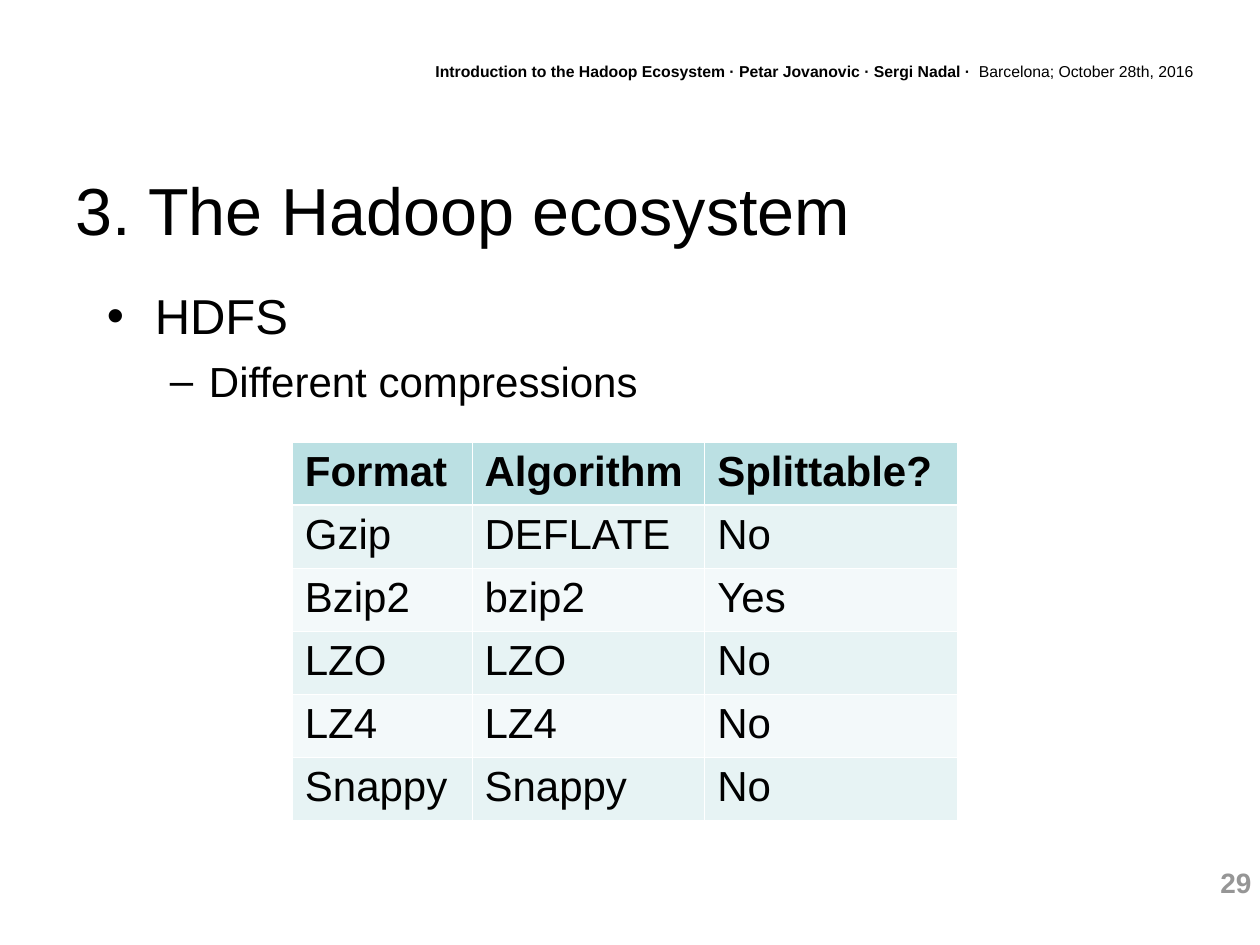
from lxml import etree
from pptx import Presentation
from pptx import util as u
from pptx.dml.color import RGBColor
from pptx.enum import text
from pptx.oxml import ns

# Content
HEADER = [
    ("Introduction to the Hadoop Ecosystem · Petar Jovanovic · Sergi Nadal ·  ", True),
    ("Barcelona; October 28th, 2016", False),
]
TITLE = "3. The Hadoop ecosystem"
# Text, bullet, level, size, space before, left margin, hanging indent
BULLETS = [
    ("HDFS", "•", 0, 28, 0, 0.38, 0.38),
    ("Different compressions", "–", 1, 24, 6, 0.81, 0.31),
]
FORMATS = [
    ("Format", "Algorithm", "Splittable?"),
    ("Gzip", "DEFLATE", "No"),
    ("Bzip2", "bzip2", "Yes"),
    ("LZO", "LZO", "No"),
    ("LZ4", "LZ4", "No"),
    ("Snappy", "Snappy", "No"),
]
PAGE_NUMBER = "29"

# Look
FONT = "Arial"
COLORS = {
    "ink": "000000", "number": "969696", "rule": "FFFFFF",
    "head": "BBE0E3", "odd": "E7F3F4", "even": "F3F9FA",
}
WIDTH, HEIGHT = u.Inches(10), u.Inches(7.5)
THIN, THICK = 0.45, 1.47

# Left, top, width, height as percentages of the slide
AREAS = {
    "header": (28, 5.87, 67.7, 3.33),
    "title": (5, 16.4, 90, 11.47),
    "bullets": (7.5, 28.93, 87.5, 15.73),
    "table": (23.2, 46.8, 52.8, 40),
    "number": (87.6, 90.93, 12.7, 4.93),
}
COLUMN_SHARES = (0.27, 0.35, 0.38)


def area(name):
    left, top, width, height = AREAS[name]
    return [int(share * side / 100) for share, side in
            ((left, WIDTH), (top, HEIGHT), (width, WIDTH), (height, HEIGHT))]


def add_box(page, name, anchor=text.MSO_ANCHOR.TOP):
    frame = page.shapes.add_textbox(*area(name)).text_frame
    frame.word_wrap = True
    frame.vertical_anchor = anchor
    return frame


def add_span(para, words, size, bold=False, color="ink"):
    span = para.add_run()
    span.text = words
    span.font.name = FONT
    span.font.size = u.Pt(size)
    span.font.bold = bold
    span.font.color.rgb = RGBColor.from_string(COLORS[color])


def add_bullet(para, mark, margin, hanging):
    props = para._p.get_or_add_pPr()
    props.set("marL", str(u.Inches(margin)))
    props.set("indent", str(-u.Inches(hanging)))
    etree.SubElement(props, ns.qn("a:buFont"), typeface=FONT)
    etree.SubElement(props, ns.qn("a:buChar"), char=mark)


def add_borders(cell, row):
    widths = {"L": THIN, "R": THIN,
              "T": THICK if row == 1 else THIN,
              "B": THICK if row == 0 else THIN}
    for side, width in widths.items():
        line = etree.SubElement(cell._tc.get_or_add_tcPr(), ns.qn(f"a:ln{side}"),
                                w=str(u.Pt(width)))
        fill = etree.SubElement(line, ns.qn("a:solidFill"))
        etree.SubElement(fill, ns.qn("a:srgbClr"), val=COLORS["rule"])


def add_format_table(page):
    left, top, width, height = area("table")
    table = page.shapes.add_table(len(FORMATS), len(COLUMN_SHARES),
                                  left, top, width, height).table
    for column, share in zip(table.columns, COLUMN_SHARES):
        column.width = int(width * share)
    for r, values in enumerate(FORMATS):
        shade = "head" if r == 0 else ("odd" if r % 2 else "even")
        for c, value in enumerate(values):
            cell = table.cell(r, c)
            add_borders(cell, r)
            cell.fill.solid()
            cell.fill.fore_color.rgb = RGBColor.from_string(COLORS[shade])
            add_span(cell.text_frame.paragraphs[0], value, 24, bold=r == 0)


def main():
    deck = Presentation()
    deck.slide_width, deck.slide_height = WIDTH, HEIGHT
    page = deck.slides.add_slide(deck.slide_layouts[6])

    # Page number and running header
    para = add_box(page, "number").paragraphs[0]
    para.alignment = text.PP_ALIGN.RIGHT
    add_span(para, PAGE_NUMBER, 16, True, "number")
    para = add_box(page, "header").paragraphs[0]
    para.alignment = text.PP_ALIGN.RIGHT
    for words, bold in HEADER:
        add_span(para, words, 9, bold)

    # Title
    frame = add_box(page, "title", text.MSO_ANCHOR.MIDDLE)
    add_span(frame.paragraphs[0], TITLE, 38)

    # Bullets
    frame = add_box(page, "bullets")
    frame.margin_top = u.Inches(0.1)
    for i, (words, mark, level, size, before, margin, hanging) in enumerate(BULLETS):
        para = frame.add_paragraph() if i else frame.paragraphs[0]
        para.level = level
        para.space_before = u.Pt(before)
        add_bullet(para, mark, margin, hanging)
        add_span(para, words, size)

    # Compression formats
    add_format_table(page)
    deck.save("out.pptx")


if __name__ == "__main__":
    main()
